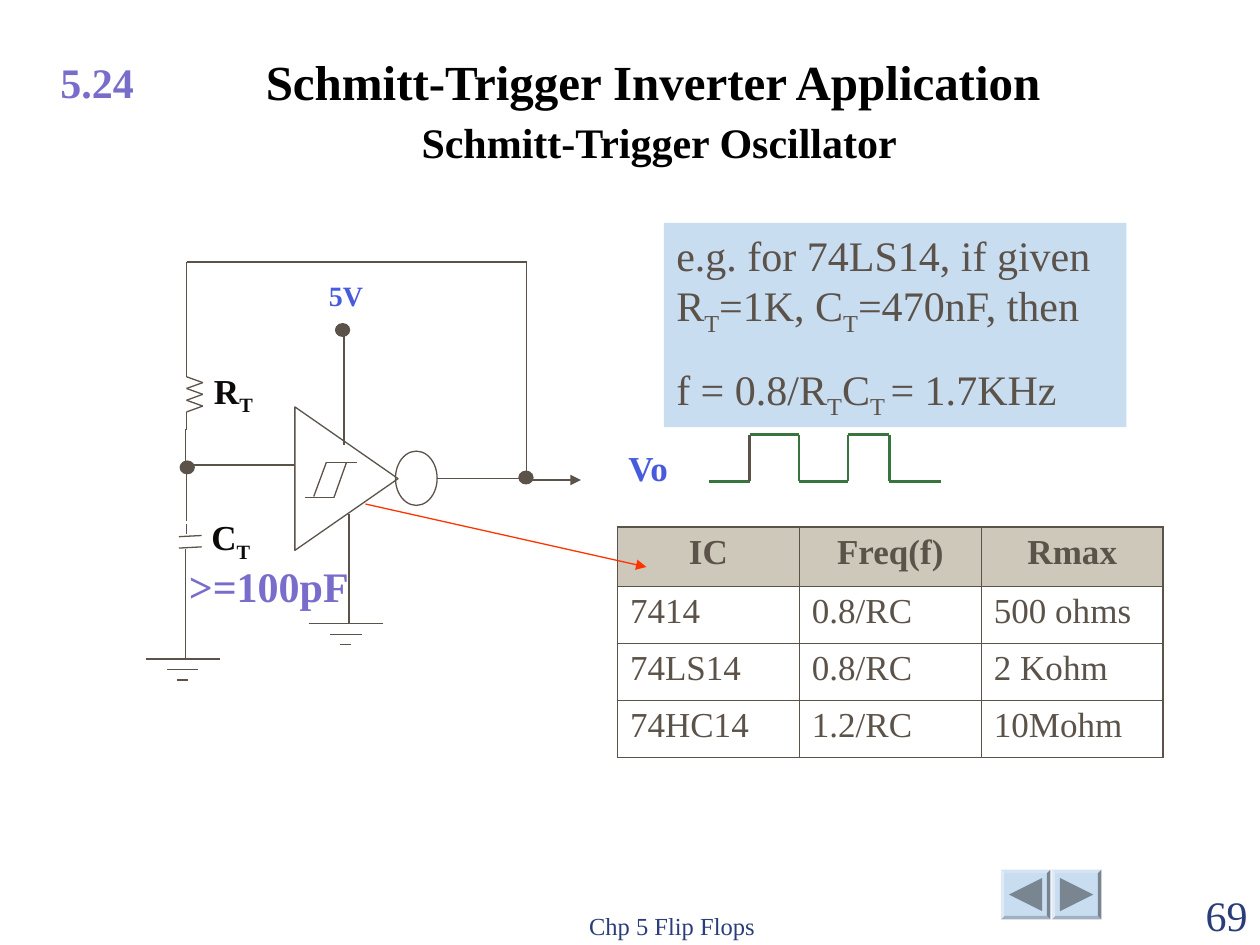
from itertools import pairwise

from lxml import etree
from pptx import Presentation
from pptx.dml.color import RGBColor
from pptx.enum.shapes import MSO_CONNECTOR, MSO_SHAPE
from pptx.enum.text import MSO_ANCHOR, PP_ALIGN
from pptx.oxml.ns import qn
from pptx.util import Pt

LEFT, CENTER, RIGHT = PP_ALIGN.LEFT, PP_ALIGN.CENTER, PP_ALIGN.RIGHT
TOP, BOTTOM = MSO_ANCHOR.TOP, MSO_ANCHOR.BOTTOM
OVAL, RECT, BEVEL = MSO_SHAPE.OVAL, MSO_SHAPE.RECTANGLE, MSO_SHAPE.BEVEL
MERGE, TRIANGLE = MSO_SHAPE.FLOWCHART_MERGE, MSO_SHAPE.ISOSCELES_TRIANGLE

BROWN = RGBColor(0x5B, 0x52, 0x49)
BLACK = RGBColor(0, 0, 0)
INK = RGBColor(0x0C, 0x0B, 0x0A)
PURPLE = RGBColor(0x78, 0x6D, 0xCB)
BLUE = RGBColor(0x49, 0x5B, 0xDD)
NAVY = RGBColor(0x2A, 0x3D, 0x7A)
GREEN = RGBColor(0x38, 0x74, 0x3E)
RED = RGBColor(0xFF, 0x33, 0x00)
SKY = RGBColor(0xC9, 0xDD, 0xF1)
SLATE = RGBColor(0x79, 0x85, 0x91)
SAND = RGBColor(0xCE, 0xC8, 0xBA)

FONT = "Times New Roman"

# Underscores enclose subscripts
TITLE = "Schmitt-Trigger Inverter Application"
SUBTITLE = [(" ", 28), ("Schmitt-Trigger Oscillator", 24)]
EXAMPLE = ["e.g. for 74LS14, if given R_T_=1K, C_T_=470nF, then",
           "f = 0.8/R_T_C_T _= 1.7KHz"]

# text, (left, top, width, height), size, colour, bold, alignment, anchor, wrap
LABELS = [
    ("5.24", (27.4, 28.8, 62, 36), 24, PURPLE, True, LEFT, TOP, True),
    ("5V", (178.7, 155.5, 38, 27), 16, BLUE, True, CENTER, TOP, False),
    ("R_T_", (115.2, 207.4, 42, 35), 20, INK, True, LEFT, TOP, True),
    (" C_T_", (108.7, 290.9, 51, 35), 20, INK, True, LEFT, TOP, True),
    ("Vo", (348.4, 251.7, 44, 32), 20, BLUE, True, CENTER, TOP, False),
    (">=100pF", (88.6, 316.8, 130, 36), 24, PURPLE, True, CENTER, TOP, True),
    ("Chp 5 Flip Flops", (270, 504.7, 228, 36), 14, NAVY, False, CENTER, BOTTOM, True),
    ("69", (648, 504.7, 72, 36), 24, NAVY, False, RIGHT, BOTTOM, True),
]

TABLE = [("IC", "Freq(f)", "Rmax"),
         ("7414", "0.8/RC", "500 ohms"),
         ("74LS14", "0.8/RC", "2 Kohm"),
         ("74HC14", "1.2/RC", "10Mohm")]

WIRES = [
    [(168.5, 265.7), (109.4, 265.7)],                             # inverter input
    [(249.8, 273.6), (296.6, 273.6)],                             # inverter output
    [(196.6, 191.5), (196.6, 254.2)],                             # supply
    [(199.4, 293.8), (199.4, 356.4)],                             # inverter to ground
    [(106.6, 215.3), (106.6, 149.8), (301, 149.8), (301, 273.6)],  # feedback
    [(106, 245), (106, 265)],
    [(106.6, 267.8), (106.6, 298)],                               # node to capacitor
    [(106.6, 299.5), (106.6, 305.3)],
    [(102.2, 306.7), (115.2, 306)],                               # capacitor plates
    [(102.2, 313.2), (115.2, 312.5)],
    [(106, 313.9), (106, 376.6)],                                 # capacitor to ground
    [(203.8, 264.2), (186.5, 264.2), (179.3, 283.7)],             # hysteresis mark
    [(198, 264.2), (190.8, 284.4), (174.2, 284.4)],
]
GROUNDS = [(197.6, 356.4), (104.4, 376.6)]
NODES = [(195.8, 188.6), (300.6, 272.9), (107, 267.1)]

# Square wave: edge positions, then low and high levels
WAVE_X = [405.4, 428.4, 456.5, 484.6, 508.3, 537.8]
WAVE_LOW, WAVE_HIGH = 275, 248.4


def add_runs(p, text, size, color, bold):
    for i, part in enumerate(text.split("_")):
        if part:
            r = p.add_run()
            r.text = part
            f = r.font
            f.name, f.size, f.bold = FONT, Pt(size), bold
            f.color.rgb = color
            if i % 2:
                r._r.get_or_add_rPr().set("baseline", "-25000")


def add_label(s, text, box, size, color, bold, align, anchor, wrap):
    tf = s.shapes.add_textbox(*map(Pt, box)).text_frame
    tf.word_wrap, tf.vertical_anchor = wrap, anchor
    p = tf.paragraphs[0]
    p.alignment = align
    add_runs(p, text, size, color, bold)
    return p


def add_shape(s, kind, box, fill=None, line=None):
    sp = s.shapes.add_shape(kind, *map(Pt, box))
    sp.shadow.inherit = False
    for part, color in ((sp.fill, fill), (sp.line.fill, line)):
        if color is None:
            part.background()
        else:
            part.solid()
            part.fore_color.rgb = color
    if line is not None:
        sp.line.width = Pt(0.75)
    return sp


def add_wire(s, points, color=BROWN, width=0.75, arrow=False):
    for start, end in pairwise(points):
        c = s.shapes.add_connector(MSO_CONNECTOR.STRAIGHT, *map(Pt, start + end))
        c.line.color.rgb = color
        c.line.width = Pt(width)
        if arrow:
            etree.SubElement(c.line._get_or_add_ln(), qn("a:tailEnd"), type="triangle")
        etree.SubElement(c._element.spPr, qn("a:effectLst"))


def add_border(cell, side, width):
    ln = etree.SubElement(cell._tc.get_or_add_tcPr(), qn(f"a:{side}"), w=str(Pt(width)))
    fill = etree.SubElement(ln, qn("a:solidFill"))
    etree.SubElement(fill, qn("a:srgbClr"), val=str(BROWN))


def add_table(s):
    rows, cols = len(TABLE), len(TABLE[0])
    t = s.shapes.add_table(rows, cols, Pt(352.8), Pt(301), Pt(312), Pt(131.8)).table
    t.first_row = t.horz_banding = False
    for i, row in enumerate(TABLE):
        t.rows[i].height = Pt(32.6 if i else 34)
        for j, text in enumerate(row):
            cell = t.cell(i, j)
            outer = {"lnL": j == 0, "lnR": j == cols - 1,
                     "lnT": i == 0, "lnB": i == rows - 1}
            for side, is_outer in outer.items():
                add_border(cell, side, 1.08 if is_outer else 0.45)
            if i == 0:
                cell.fill.solid()
                cell.fill.fore_color.rgb = SAND
            else:
                cell.fill.background()
            p = cell.text_frame.paragraphs[0]
            p.alignment = LEFT if i else CENTER
            add_runs(p, text, 20, BROWN, i == 0)


def main():
    prs = Presentation()
    prs.slide_width, prs.slide_height = Pt(720), Pt(540)
    s = prs.slides.add_slide(prs.slide_layouts[6])

    # Navigation buttons
    for x, turn in ((571.9, 270), (601, 90)):
        add_shape(s, BEVEL, (x, 497, 28.4, 28.4), SKY).adjustments[0] = 0.07
        add_shape(s, TRIANGLE, (x + 4.7, 501.7, 19, 19), SLATE).rotation = turn

    # Title, two lines in one paragraph
    p = add_label(s, TITLE, (79.2, 29.5, 588, 70.5), 28, BLACK, True, CENTER, BOTTOM, True)
    p.add_line_break()
    for text, size in SUBTITLE:
        add_runs(p, text, size, BLACK, True)

    add_table(s)

    # Worked example
    tf = add_shape(s, RECT, (379.4, 127.4, 264.3, 116.7), SKY).text_frame
    tf.word_wrap, tf.vertical_anchor = True, TOP
    for i, text in enumerate(EXAMPLE):
        p = tf.add_paragraph() if i else tf.paragraphs[0]
        p.alignment = LEFT
        if i:
            p.space_before = Pt(15)
        add_runs(p, text, 24, BROWN, False)

    # Inverter
    add_shape(s, MERGE, (157, 244, 82, 59), line=BROWN).rotation = 270
    add_shape(s, OVAL, (226, 257.8, 23.8, 31), line=BROWN)

    # Circuit
    for points in WIRES:
        add_wire(s, points)
    zigzag = [(115.9 if i % 2 else 106.6, 215.3 + 3.35 * i) for i in range(7)]
    add_wire(s, [(106.6, 208.8)] + zigzag + [(106.6, 245.5)])
    for x, y in GROUNDS:
        for i, half in enumerate((21.2, 9, 3.1)):
            add_wire(s, [(x - half, y + 6 * i), (x + half, y + 6 * i)])
    for x, y in NODES:
        add_shape(s, OVAL, (x - 4, y - 3.6, 8, 7.2), BROWN, BROWN)
    add_wire(s, [(303.1, 274.3), (331.9, 274.3)], arrow=True)

    # Output waveform
    wave = []
    for i, (x1, x2) in enumerate(pairwise(WAVE_X)):
        y = WAVE_HIGH if i % 2 else WAVE_LOW
        wave += [(x1, y), (x2, y)]
    add_wire(s, wave[:2], GREEN, 1.5)
    add_wire(s, wave[1:3], BROWN, 1.5)
    add_wire(s, wave[2:], GREEN, 1.5)

    # Labels and pointer to the table
    for label in LABELS:
        add_label(s, *label)
    add_wire(s, [(208.8, 288), (369.4, 324)], RED, arrow=True)

    prs.save("out.pptx")


if __name__ == "__main__":
    main()
